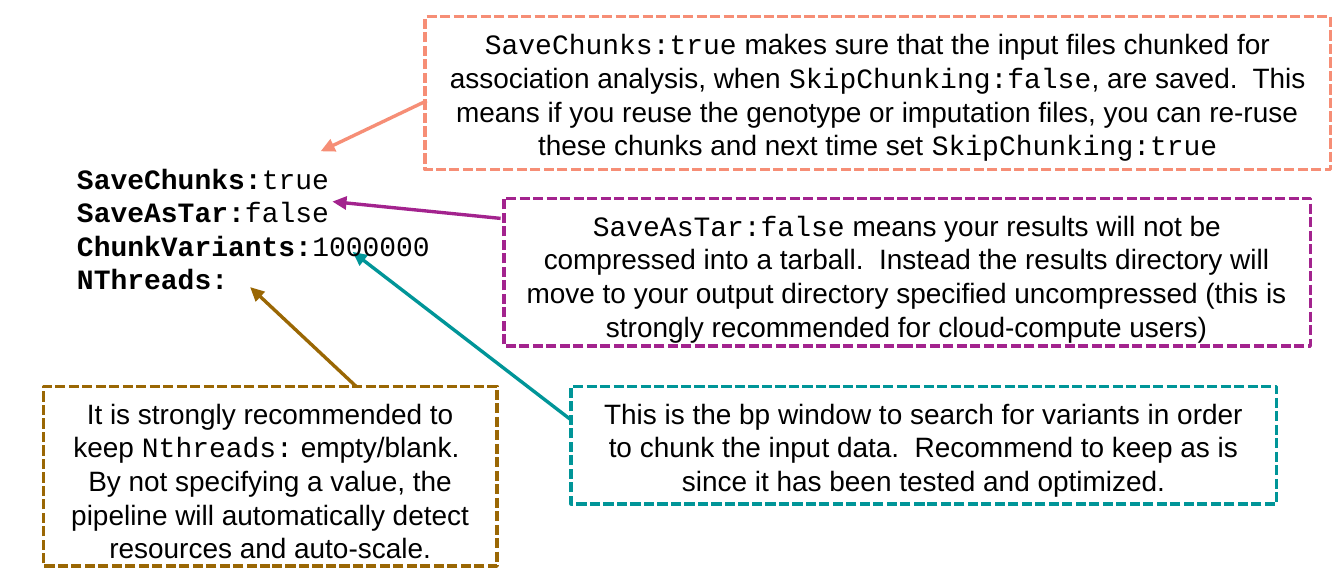
from lxml import etree
from pptx import Presentation
from pptx.dml.color import RGBColor
from pptx.enum.dml import MSO_LINE
from pptx.enum.shapes import MSO_CONNECTOR, MSO_SHAPE
from pptx.enum.text import MSO_ANCHOR, PP_ALIGN
from pptx.oxml.ns import qn
from pptx.util import Inches, Pt

BODY, CODE = "Arial", "Courier New"
SIZE, LINE_WIDTH = Pt(12), Pt(1.45)

SETTINGS_AT = (0.36, 0.91, 4.09, 1.02)
SETTINGS = [
    ("SaveChunks:", "true"),
    ("SaveAsTar:", "false"),
    ("ChunkVariants:", "1000000"),
    ("NThreads:", ""),
]

# Backticks mark code inside the notes; each arrow runs from its tip to its note.
NOTES = [
    {"color": "009598", "box": (3.4, 2.3, 4.2, 0.7), "arrow": (2.1, 1.5, 3.4, 2.5),
     "text": "This is the bp window to search for variants in order to chunk the input data.  "
             "Recommend to keep as is since it has been tested and optimized."},
    {"color": "A3238E", "box": (3, 1.18, 4.8, 0.88), "arrow": (1.98, 1.2, 2.98, 1.3),
     "text": "`SaveAsTar:false` means your results will not be compressed into a tarball.  "
             "Instead the results directory will move to your output directory specified "
             "uncompressed (this is strongly recommended for cloud-compute users)"},
    {"color": "F68E76", "box": (2.53, 0.1, 5.39, 0.91), "arrow": (1.91, 0.9, 2.54, 0.6),
     "text": "`SaveChunks:true` makes sure that the input files chunked for association "
             "analysis, when `SkipChunking:false`, are saved.  This means if you reuse the "
             "genotype or imputation files, you can re-ruse these chunks and next time set "
             "`SkipChunking:true`"},
    {"color": "9A6704", "box": (0.26, 2.3, 2.7, 1.07), "arrow": (1.49, 1.71, 2.12, 2.3),
     "text": "It is strongly recommended to keep `Nthreads:` empty/blank.  By not specifying "
             "a value, the pipeline will automatically detect resources and auto-scale."},
]


def rgb(color):
    return RGBColor.from_string(color)


def inches(values):
    return [Inches(value) for value in values]


def set_frame(frame, side, top):
    frame.word_wrap = True
    frame.vertical_anchor = MSO_ANCHOR.TOP
    frame.margin_left = frame.margin_right = Inches(side)
    frame.margin_top = frame.margin_bottom = Inches(top)


def style_paragraph(paragraph):
    paragraph.font.size = SIZE
    paragraph.font.color.rgb = rgb("000000")


def style_line(line, color):
    line.color.rgb = rgb(color)
    line.width = LINE_WIDTH


def add_arrow(slide, ends, color):
    arrow = slide.shapes.add_connector(MSO_CONNECTOR.STRAIGHT, *inches(ends))
    style_line(arrow.line, color)
    properties = arrow.element.spPr
    etree.SubElement(properties.find(qn("a:ln")), qn("a:headEnd"), type="triangle")
    etree.SubElement(properties, qn("a:effectLst"))


def add_settings(slide):
    frame = slide.shapes.add_textbox(*inches(SETTINGS_AT)).text_frame
    set_frame(frame, 0.1, 0.05)
    for index, (key, value) in enumerate(SETTINGS):
        paragraph = frame.add_paragraph() if index else frame.paragraphs[0]
        style_paragraph(paragraph)
        paragraph.font.name = CODE
        key_run = paragraph.add_run()
        key_run.text = key
        key_run.font.bold = True
        if value:
            paragraph.add_run().text = value


def add_note(slide, box, text, color):
    note = slide.shapes.add_shape(MSO_SHAPE.RECTANGLE, *inches(box))
    note.shadow.inherit = False
    note.fill.background()
    style_line(note.line, color)
    note.line.dash_style = MSO_LINE.SQUARE_DOT
    set_frame(note.text_frame, 0.11, 0.06)
    paragraph = note.text_frame.paragraphs[0]
    paragraph.alignment = PP_ALIGN.CENTER
    style_paragraph(paragraph)
    for index, part in enumerate(text.split("`")):
        if part:
            run = paragraph.add_run()
            run.text = part
            run.font.name = CODE if index % 2 else BODY


def main():
    deck = Presentation()
    deck.slide_width, deck.slide_height = inches((8, 3.5))
    slide = deck.slides.add_slide(deck.slide_layouts[6])
    for note in NOTES:
        add_arrow(slide, note["arrow"], note["color"])
    add_settings(slide)
    for note in NOTES:
        add_note(slide, note["box"], note["text"], note["color"])
    deck.save("out.pptx")


if __name__ == "__main__":
    main()
